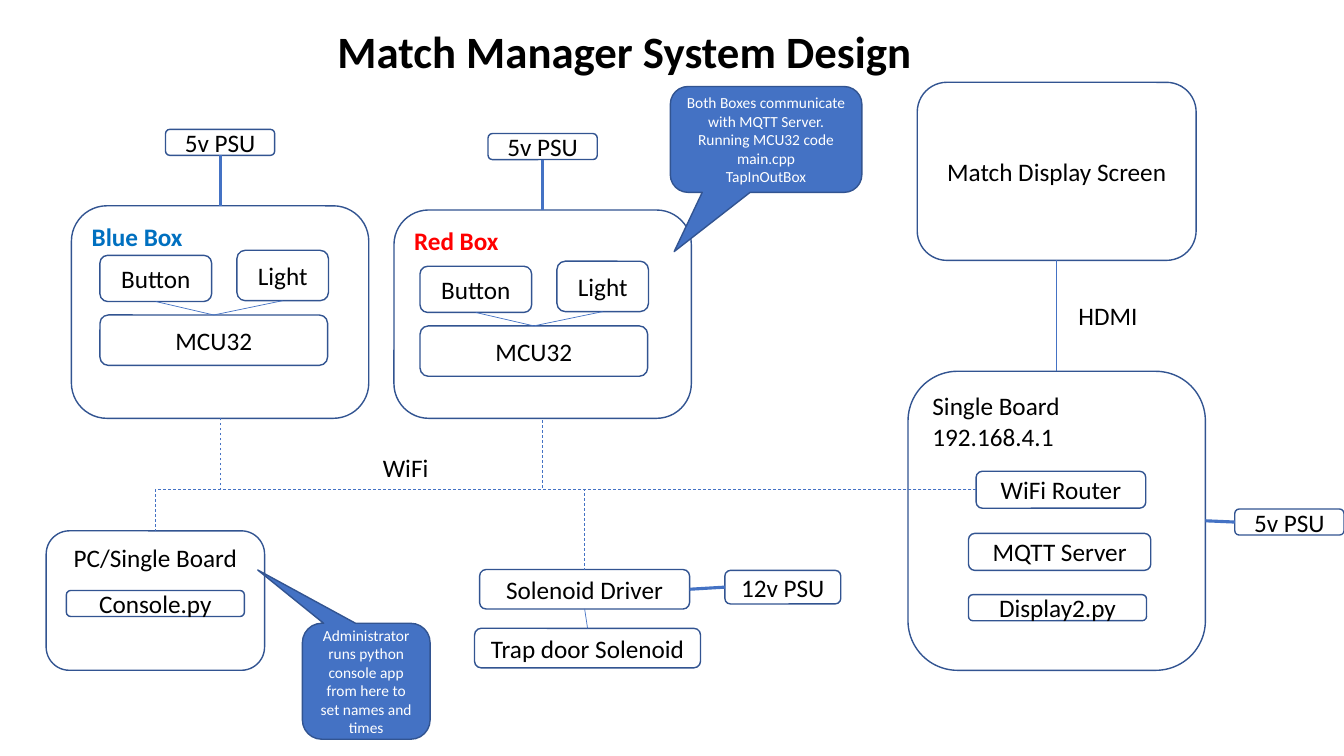
from dataclasses import dataclass

from lxml.etree import SubElement
from pptx import Presentation
from pptx.dml.color import RGBColor
from pptx.enum.dml import MSO_LINE_DASH_STYLE as Dash
from pptx.enum.shapes import MSO_CONNECTOR_TYPE as Connector
from pptx.enum.shapes import MSO_AUTO_SHAPE_TYPE as Preset
from pptx.enum.text import MSO_VERTICAL_ANCHOR as Anchor
from pptx.enum.text import PP_PARAGRAPH_ALIGNMENT as Align
from pptx.oxml.ns import qn
from pptx.util import Inches, Pt

COLORS = {
    "outline": "325491",
    "accent": "4472C4",
    "black": "000000",
    "white": "FFFFFF",
    "red": "FF0000",
    "blue": "0070C0",
}
FONT = "Calibri"
COLUMNS, ROWS = 160, 90
TOP, LEFT, BOTTOM, RIGHT = range(4)
THIN, THICK = 0.5, 2.25

presentation = Presentation()
presentation.slide_width = Inches(13.33)
presentation.slide_height = Inches(7.5)
slide = presentation.slides.add_slide(presentation.slide_layouts[6])


@dataclass
class Area:
    left: float
    top: float
    width: float
    height: float


@dataclass
class Style:
    size: float = 18
    color: str = "black"
    bold: bool = False
    align: Align = Align.CENTER
    anchor: Anchor = Anchor.MIDDLE


@dataclass
class Box:
    name: str
    text: str
    area: Area
    style: Style


@dataclass
class Callout:
    text: str
    area: Area
    tip: tuple[float, float]


@dataclass
class Label:
    text: str
    area: Area
    style: Style


@dataclass
class Link:
    start: str
    start_side: int
    end: str
    end_side: int
    weight: float = THIN
    elbow: bool = False


@dataclass
class TapBox:
    color: str
    area: Area
    parts_left: float
    parts_top: float


def place(area: Area) -> tuple[int, int, int, int]:
    column = presentation.slide_width / COLUMNS
    row = presentation.slide_height / ROWS
    return (round(area.left * column), round(area.top * row),
            round(area.width * column), round(area.height * row))


def rgb(name: str) -> RGBColor:
    return RGBColor.from_string(COLORS[name])


def write(shape, text: str, style: Style) -> None:
    text_frame = shape.text_frame
    text_frame.text = text
    text_frame.vertical_anchor = style.anchor
    for paragraph in text_frame.paragraphs:
        paragraph.alignment = style.align
        for run in paragraph.runs:
            run.font.name = FONT
            run.font.size = Pt(style.size)
            run.font.bold = style.bold
            run.font.color.rgb = rgb(style.color)


def add_outlined(preset: Preset, area: Area, text: str, style: Style):
    shape = slide.shapes.add_shape(preset, *place(area))
    shape.shadow.inherit = False
    shape.fill.background()
    shape.line.color.rgb = rgb("outline")
    shape.line.width = Pt(1)
    write(shape, text, style)
    return shape


def add_box(box: Box):
    return add_outlined(Preset.ROUNDED_RECTANGLE, box.area, box.text, box.style)


def add_callout(callout: Callout) -> None:
    shape = add_outlined(Preset.ROUNDED_RECTANGULAR_CALLOUT, callout.area,
                         callout.text, Style(11, "white"))
    shape.fill.solid()
    shape.fill.fore_color.rgb = rgb("accent")
    shape.adjustments[0], shape.adjustments[1] = callout.tip


def add_label(label: Label) -> None:
    shape = slide.shapes.add_textbox(*place(label.area))
    write(shape, label.text, label.style)
    shape.text_frame.word_wrap = False


def add_link(link: Link, shapes: dict) -> None:
    kind = Connector.ELBOW if link.elbow else Connector.STRAIGHT
    connector = slide.shapes.add_connector(kind, 0, 0, 0, 0)
    connector.begin_connect(shapes[link.start], link.start_side)
    connector.end_connect(shapes[link.end], link.end_side)
    connector.line.color.rgb = rgb("accent")
    connector.line.width = Pt(link.weight)
    properties = connector.element.spPr
    if link.elbow:
        connector.line.dash_style = Dash.DASH
        properties.find(qn("a:prstGeom")).set("prst", "bentConnector2")
    SubElement(properties, qn("a:effectLst"))


def tap_box_parts(tap_box: TapBox) -> list[Box]:
    name, area = tap_box.color, tap_box.area
    left, top = tap_box.parts_left, tap_box.parts_top
    heading = Style(color=name, bold=True, align=Align.LEFT, anchor=Anchor.TOP)
    return [
        Box(name, f"{name.title()} Box", area, heading),
        Box(f"{name} light", "Light", Area(left + 16.3, top, 10.9, 6), Style()),
        Box(f"{name} button", "Button", Area(left, top + 0.6, 13.3, 5.5), Style()),
        Box(f"{name} chip", "MCU32", Area(left, top + 7.7, 27.1, 6), Style()),
        Box(f"{name} psu", "5v PSU", Area(area.left + 11.2, area.top - 9.1, 13, 3.1), Style()),
    ]


def tap_box_links(name: str) -> list[Link]:
    return [
        Link(f"{name} chip", TOP, f"{name} button", BOTTOM),
        Link(f"{name} chip", TOP, f"{name} light", BOTTOM),
        Link(f"{name} psu", BOTTOM, name, TOP, THICK),
        Link("router", LEFT, name, BOTTOM, elbow=True),
    ]


TAP_BOXES = [
    TapBox("red", Area(46.9, 25, 35.4, 24.8), 50, 31.1),
    TapBox("blue", Area(8.5, 24.5, 35.4, 25.3), 11.9, 29.8),
]
BOXES = [
    Box("console pc", "PC/Single Board", Area(5.5, 63.2, 26, 16.6), Style(anchor=Anchor.TOP)),
    Box("screen", "Match Display Screen", Area(109.2, 9.8, 33.2, 21.2), Style()),
    Box("server", "Single Board\n192.168.4.1", Area(108.1, 44.2, 35.4, 35.6),
        Style(align=Align.LEFT, anchor=Anchor.TOP)),
    Box("router", "WiFi Router", Area(116.2, 56.1, 20.2, 4.4), Style()),
    Box("mqtt", "MQTT Server", Area(115.3, 63.5, 21.7, 4.4), Style()),
    Box("display app", "Display2.py", Area(115.3, 70.8, 21.2, 3.1), Style()),
    Box("console app", "Console.py", Area(7.9, 70.3, 21.2, 3.1), Style()),
    Box("driver", "Solenoid Driver", Area(57.1, 67.8, 25, 4.7), Style()),
    Box("trap door", "Trap door Solenoid", Area(56.5, 74.8, 26.9, 4.7), Style()),
    Box("driver psu", "12v PSU", Area(86.3, 67.9, 13.8, 4), Style()),
    Box("server psu", "5v PSU", Area(147, 60.6, 13, 3.1), Style()),
]
LINKS = [
    Link("server", TOP, "screen", BOTTOM),
    Link("driver", BOTTOM, "trap door", TOP),
    Link("driver psu", LEFT, "driver", RIGHT, THICK),
    Link("server psu", LEFT, "server", RIGHT, THICK),
    Link("router", LEFT, "console pc", TOP, elbow=True),
    Link("router", LEFT, "driver", TOP, elbow=True),
]
CALLOUTS = [
    Callout("Administrator runs python console app from here to set names and times",
            Area(36, 74.2, 15.2, 13.8), (-0.85, -0.96)),
    Callout("Both Boxes communicate with MQTT Server. Running MCU32 code main.cpp\nTapInOutBox",
            Area(79.8, 10.3, 22.8, 12.6), (-0.48, 1.06)),
]
PLAIN = Style(align=Align.LEFT, anchor=Anchor.TOP)
LABELS = [
    Label("Match Manager System Design", Area(39, 2.2, 71.3, 7.7),
          Style(32, bold=True, align=Align.LEFT, anchor=Anchor.TOP)),
    Label("WiFi", Area(44.4, 53.3, 7.9, 4.8), PLAIN),
    Label("HDMI", Area(127.2, 35.2, 9.5, 4.8), PLAIN),
]


def main() -> None:
    boxes = BOXES + [part for tap_box in TAP_BOXES for part in tap_box_parts(tap_box)]
    shapes = {box.name: add_box(box) for box in boxes}
    links = LINKS + [link for tap_box in TAP_BOXES for link in tap_box_links(tap_box.color)]
    for link in links:
        add_link(link, shapes)
    for callout in CALLOUTS:
        add_callout(callout)
    for label in LABELS:
        add_label(label)
    presentation.save("out.pptx")


if __name__ == "__main__":
    main()
